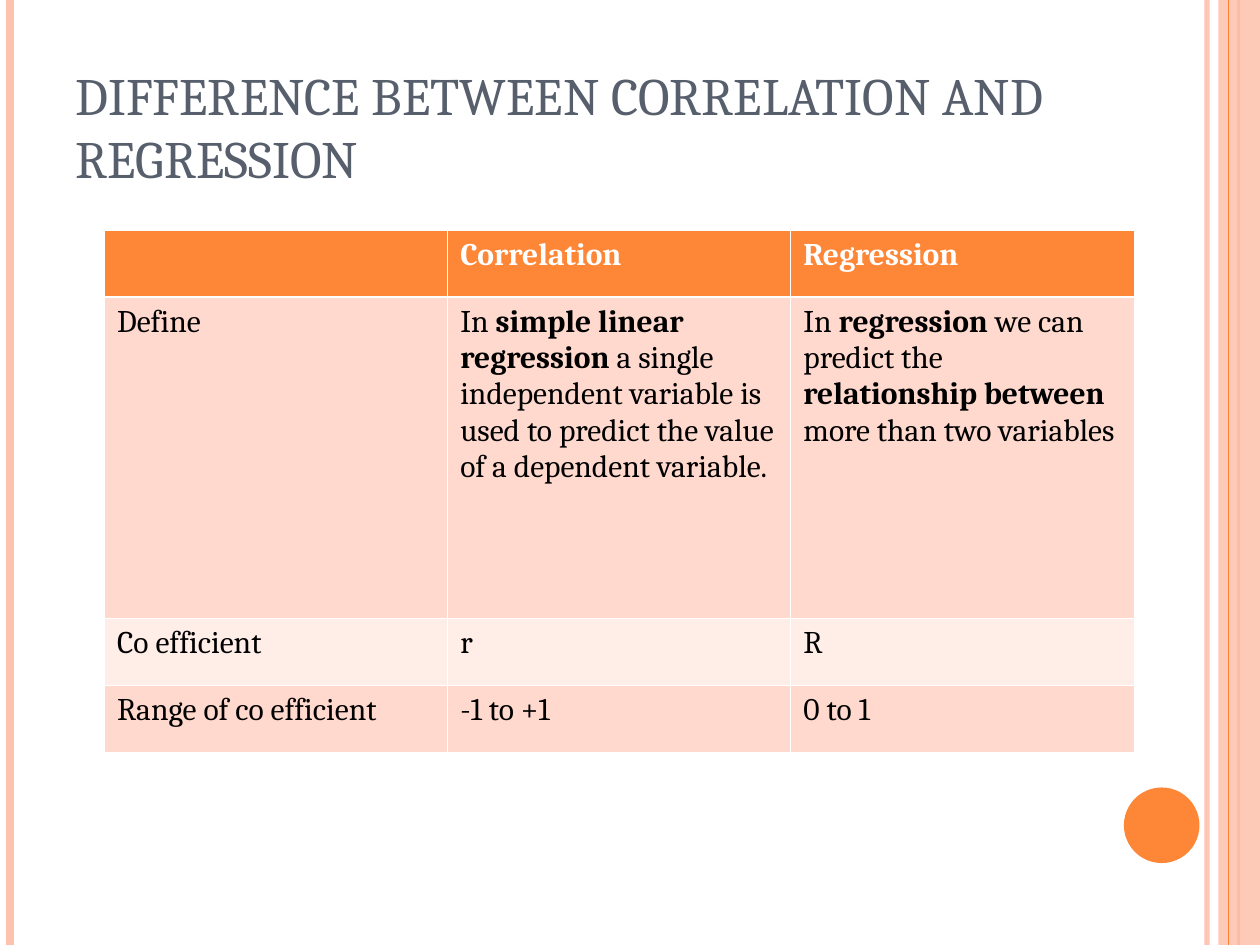
from dataclasses import dataclass

from lxml import etree
from pptx import Presentation
from pptx.dml.color import RGBColor
from pptx.enum.shapes import MSO_CONNECTOR, MSO_SHAPE
from pptx.enum.text import MSO_ANCHOR
from pptx.oxml.ns import qn
from pptx.util import Inches, Pt

STRAIGHT = MSO_CONNECTOR.STRAIGHT
RECTANGLE = MSO_SHAPE.RECTANGLE
OVAL = MSO_SHAPE.OVAL
BOTTOM = MSO_ANCHOR.BOTTOM


@dataclass(frozen=True)
class Theme:
    font: str = "Cambria"
    title_size: float = 30
    table_size: float = 18
    orange: str = "FE8637"
    peach: str = "FEC3AE"
    slate: str = "575F6D"
    black: str = "000000"
    white: str = "FFFFFF"
    band_dark: str = "FFD9CE"
    band_light: str = "FFEDE8"
    grid_width: float = 0.45
    header_rule_width: float = 1.47


THEME = Theme()
SLIDE_HEIGHT = 7.5

# Stripes: x position, colour, width in points, opacity in percent
BACK_STRIPES = [
    (9.58, THEME.peach, 3, 93),
    (0.08, THEME.peach, 4.5, 100),
    (9.83, THEME.orange, 1.5, 100),
]
FRONT_STRIPE = (9.75, THEME.orange, 0.75, 100)

TITLE = "DIFFERENCE BETWEEN CORRELATION AND REGRESSION"

# Text between ** marks is bold
COMPARISON = [
    ["", "**Correlation**", "**Regression**"],
    [
        "Define",
        "In **simple linear regression** a single independent variable is used "
        "to predict the value of a dependent variable.",
        "In **regression** we can predict the **relationship between** more "
        "than two variables",
    ],
    ["Co efficient", "r", "R"],
    ["Range of co efficient", "-1 to +1", "0 to 1"],
]
ROW_HEIGHTS = [0.53, 2.55, 0.53, 0.53]
ROW_FILLS = [THEME.orange, THEME.band_dark, THEME.band_light, THEME.band_dark]


def set_opacity(fill, percent):
    if percent < 100:
        color = fill._xPr.find(f"{qn('a:solidFill')}/{qn('a:srgbClr')}")
        etree.SubElement(color, qn("a:alpha"), val=str(percent * 1000))


def set_fill(fill, color, opacity=100):
    fill.solid()
    fill.fore_color.rgb = RGBColor.from_string(color)
    set_opacity(fill, opacity)


def set_font(run, size, color, bold=False):
    run.font.name = THEME.font
    run.font.size = Pt(size)
    run.font.bold = bold
    run.font.color.rgb = RGBColor.from_string(color)


def add_stripe(slide, x, color, width, opacity):
    stripe = slide.shapes.add_connector(
        STRAIGHT, Inches(x), Inches(0), Inches(x), Inches(SLIDE_HEIGHT))
    stripe.line.width = Pt(width)
    set_fill(stripe.line.fill, color, opacity)
    etree.SubElement(stripe._element.spPr, qn("a:effectLst"))


def add_ornament(slide, kind, left, top, width, height, color, opacity=100):
    ornament = slide.shapes.add_shape(
        kind, Inches(left), Inches(top), Inches(width), Inches(height))
    ornament.shadow.inherit = False
    ornament.line.fill.background()
    set_fill(ornament.fill, color, opacity)


def add_title(slide):
    title = slide.shapes.add_textbox(
        Inches(0.5), Inches(0.3), Inches(8.17), Inches(1.25))
    frame = title.text_frame
    frame.word_wrap = True
    frame.vertical_anchor = BOTTOM
    frame.text = TITLE
    set_font(frame.paragraphs[0].runs[0], THEME.title_size, THEME.slate)


def set_border(cell, side, width):
    border = etree.SubElement(
        cell._tc.get_or_add_tcPr(), qn(f"a:ln{side}"), w=str(Pt(width)))
    fill = etree.SubElement(border, qn("a:solidFill"))
    etree.SubElement(fill, qn("a:srgbClr"), val=THEME.white)


def write_cell(cell, text, color):
    paragraph = cell.text_frame.paragraphs[0]
    for index, part in enumerate(text.split("**")):
        if part:
            run = paragraph.add_run()
            run.text = part
            set_font(run, THEME.table_size, color, bold=index % 2 == 1)


def add_comparison(slide):
    comparison = slide.shapes.add_table(
        len(COMPARISON), len(COMPARISON[0]),
        Inches(0.83), Inches(1.83), Inches(8.17), Inches(sum(ROW_HEIGHTS))).table
    for r, texts in enumerate(COMPARISON):
        comparison.rows[r].height = Inches(ROW_HEIGHTS[r])
        text_color = THEME.white if r == 0 else THEME.black
        for c, text in enumerate(texts):
            cell = comparison.cell(r, c)
            # The rule below the header is heavier than the grid
            heavy_side = {0: "B", 1: "T"}.get(r)
            for side in "LRTB":
                heavy = side == heavy_side
                set_border(cell, side, THEME.header_rule_width if heavy
                           else THEME.grid_width)
            set_fill(cell.fill, ROW_FILLS[r])
            write_cell(cell, text, text_color)


def main():
    deck = Presentation()
    deck.slide_width = Inches(10)
    deck.slide_height = Inches(SLIDE_HEIGHT)
    slide = deck.slides.add_slide(deck.slide_layouts[6])

    # Side decoration
    for stripe in BACK_STRIPES:
        add_stripe(slide, *stripe)
    add_ornament(slide, RECTANGLE, 9.67, 0, 0.33, SLIDE_HEIGHT, THEME.peach, 87)
    add_stripe(slide, *FRONT_STRIPE)
    add_ornament(slide, OVAL, 8.92, 6.25, 0.6, 0.6, THEME.orange)

    # Content
    add_title(slide)
    add_comparison(slide)

    deck.save("out.pptx")


if __name__ == "__main__":
    main()
